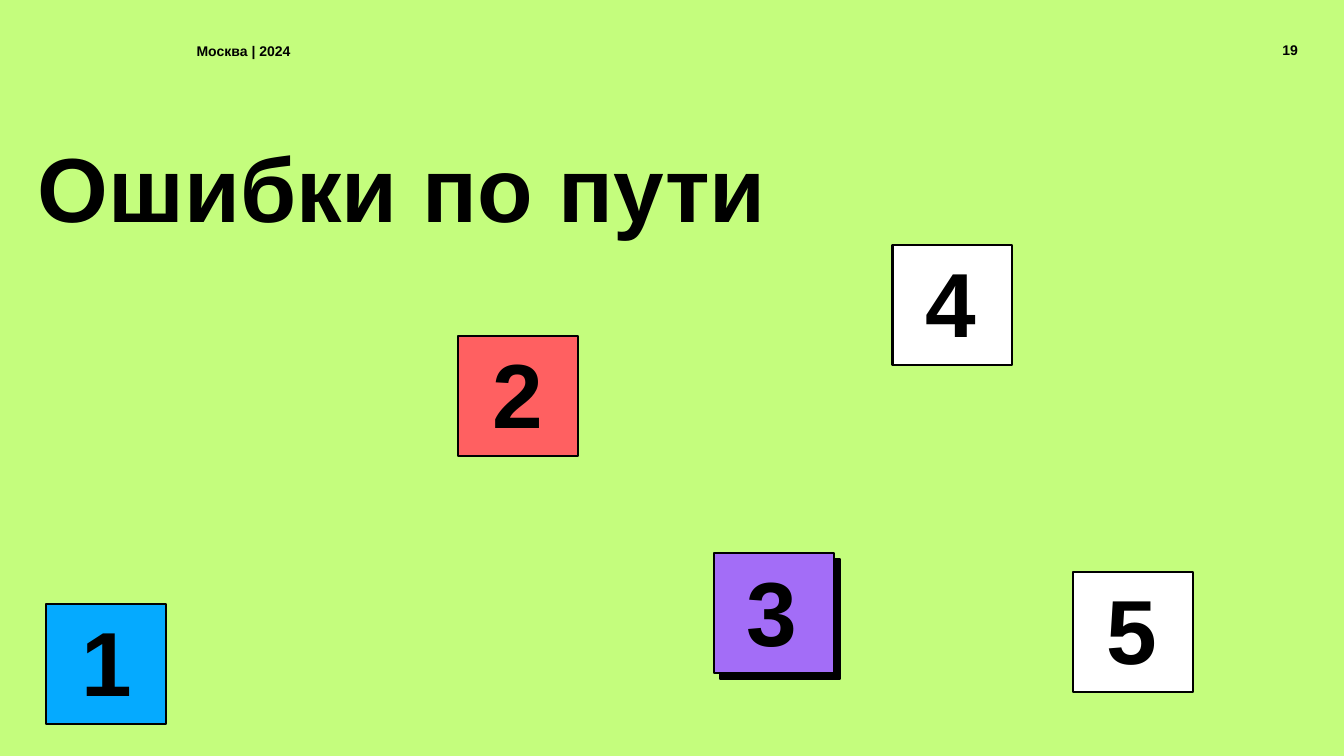
from typing import NamedTuple

from lxml.etree import SubElement
from pptx import Presentation
from pptx.dml.color import RGBColor
from pptx.enum.shapes import MSO_SHAPE as Shape
from pptx.enum.text import MSO_ANCHOR as Anchor, MSO_AUTO_SIZE as AutoSize, PP_ALIGN as Align
from pptx.oxml.ns import qn
from pptx.util import Inches, Pt

COLORS = {
    "lime": "C4FD7D",
    "black": "000000",
    "blue": "05AAFF",
    "red": "FF6061",
    "white": "FFFFFF",
    "violet": "A36DF7",
}
FONT = "Arial"
BIG, SMALL = 130, 20
TILE = 2.38
SHADOW_PT, SHADOW_DEG = 12, 46


class Tile(NamedTuple):
    digit: str
    left: float
    top: float
    color: str
    dx: float
    dy: float
    shadow: bool = False


TILES = [
    Tile("1", 0.91, 11.98, "blue", 0.65, 0.35),
    Tile("2", 9.09, 6.66, "red", 0.63, 0.37),
    Tile("4", 17.71, 4.86, "white", 0.6, 0.35),
    Tile("3", 14.17, 10.98, "violet", 0.59, 0.37, shadow=True),
    Tile("5", 21.29, 11.35, "white", 0.6, 0.35),
]


def rgb(name: str) -> RGBColor:
    return RGBColor.from_string(COLORS[name])


def style(p, size: float, align=Align.LEFT) -> None:
    p.alignment = align
    p.font.name = FONT
    p.font.size = Pt(size)
    p.font.bold = True
    p.font.color.rgb = rgb("black")
    if size == BIG:
        p.line_spacing = 0.82


def add_text(slide, text: str, left: float, top: float, width: float, height: float,
             size: float, align=Align.LEFT, anchor=Anchor.TOP) -> None:
    box = slide.shapes.add_textbox(Inches(left), Inches(top), Inches(width), Inches(height))
    tf = box.text_frame
    tf.margin_left = tf.margin_right = tf.margin_top = tf.margin_bottom = Inches(0.06)
    tf.word_wrap = False
    tf.vertical_anchor = anchor
    tf.text = text
    style(tf.paragraphs[0], size, align)


def add_hard_shadow(sp) -> None:
    effects = sp._element.spPr.find(qn("a:effectLst"))
    shadow = SubElement(effects, qn("a:outerShdw"), blurRad="0", dist=str(Pt(SHADOW_PT)),
                        dir=str(SHADOW_DEG * 60000), algn="tl", rotWithShape="0")
    SubElement(shadow, qn("a:srgbClr"), val=COLORS["black"])


def add_tile(slide, tile: Tile) -> None:
    sp = slide.shapes.add_shape(Shape.RECTANGLE, Inches(tile.left), Inches(tile.top),
                                Inches(TILE), Inches(TILE))
    sp.fill.solid()
    sp.fill.fore_color.rgb = rgb(tile.color)
    sp.line.color.rgb = rgb("black")
    sp.line.width = Pt(3)
    sp.shadow.inherit = False
    if tile.shadow:
        add_hard_shadow(sp)
    add_text(slide, tile.digit, tile.left + tile.dx, tile.top + tile.dy, 1.13, 1.91, BIG)


def add_title(slide, text: str) -> None:
    title = slide.shapes.title
    title.left, title.top = Inches(0.65), Inches(2.95)
    title.width, title.height = Inches(24.86), Inches(1.9)
    tf = title.text_frame
    tf.auto_size = AutoSize.NONE
    tf.vertical_anchor = Anchor.TOP
    tf.text = text
    style(tf.paragraphs[0], BIG)


def main() -> None:
    prs = Presentation()
    prs.slide_width, prs.slide_height = Inches(26.67), Inches(15)
    slide = prs.slides.add_slide(prs.slide_layouts[5])
    slide.background.fill.solid()
    slide.background.fill.fore_color.rgb = rgb("lime")

    add_text(slide, "Москва | 2024", 3.84, 0.79, 2.77, 0.45, SMALL)
    add_text(slide, "19", 25.38, 0.77, 0.44, 0.45, SMALL, Align.CENTER, Anchor.BOTTOM)
    add_title(slide, "Ошибки по пути")
    for tile in TILES:
        add_tile(slide, tile)

    prs.save("out.pptx")


if __name__ == "__main__":
    main()
